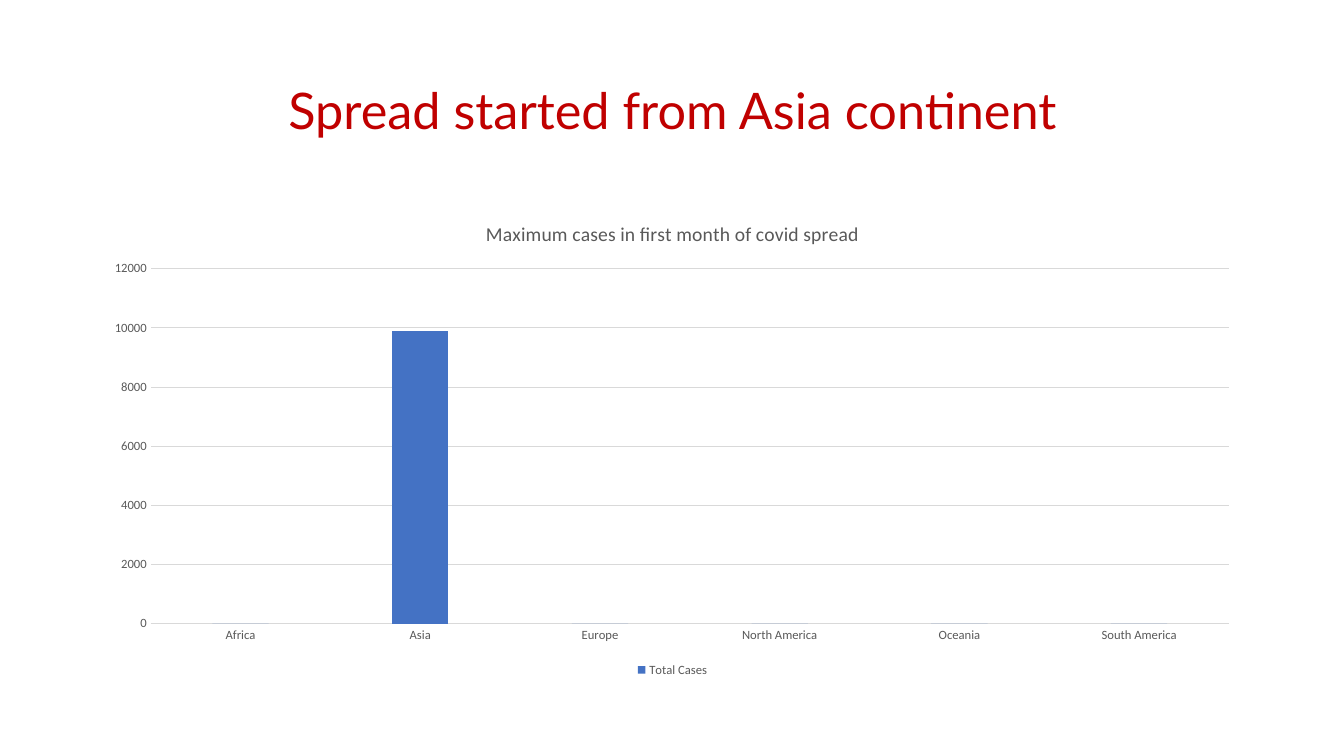
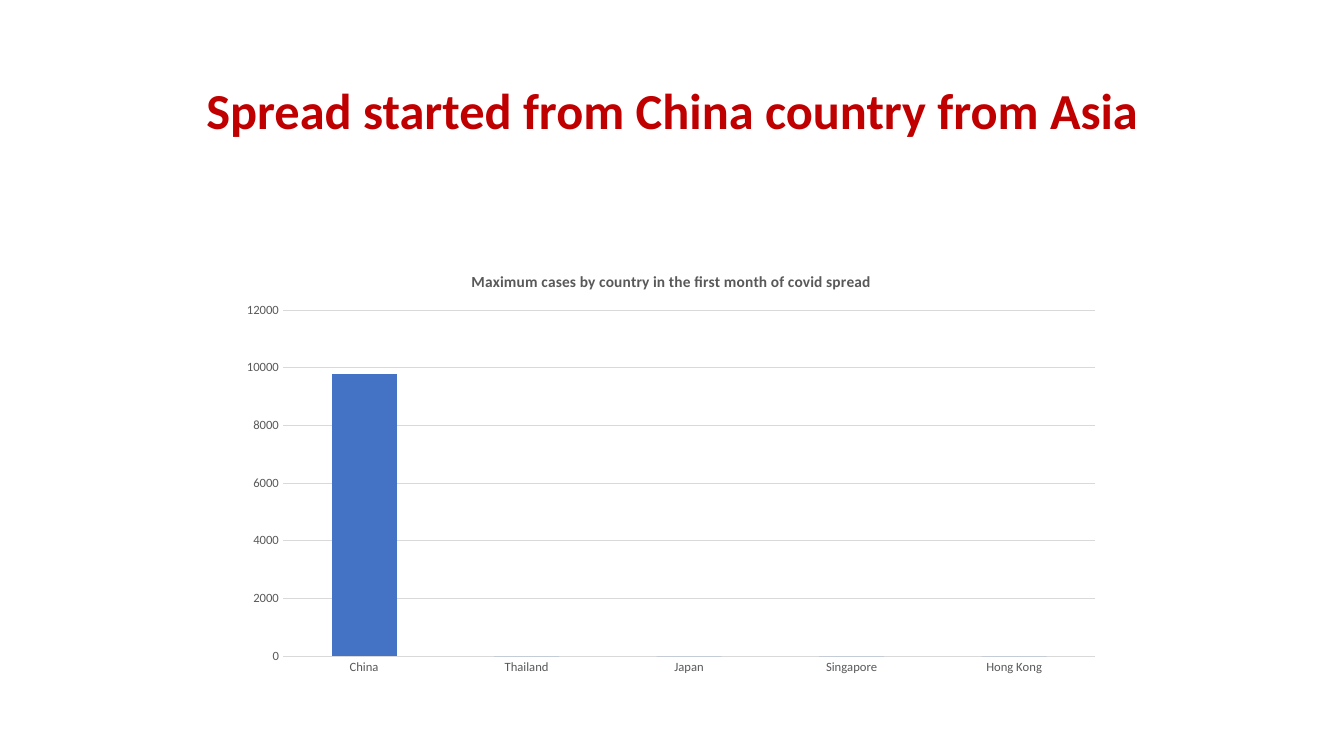
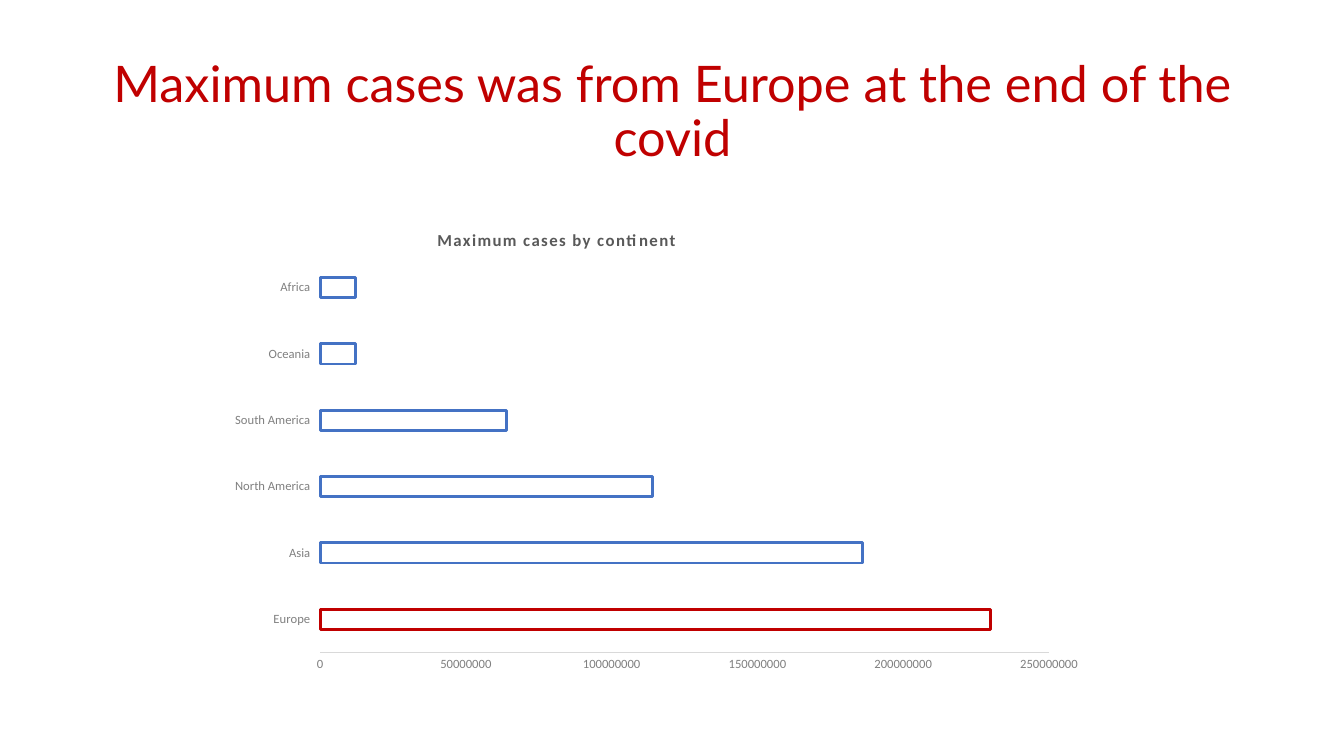
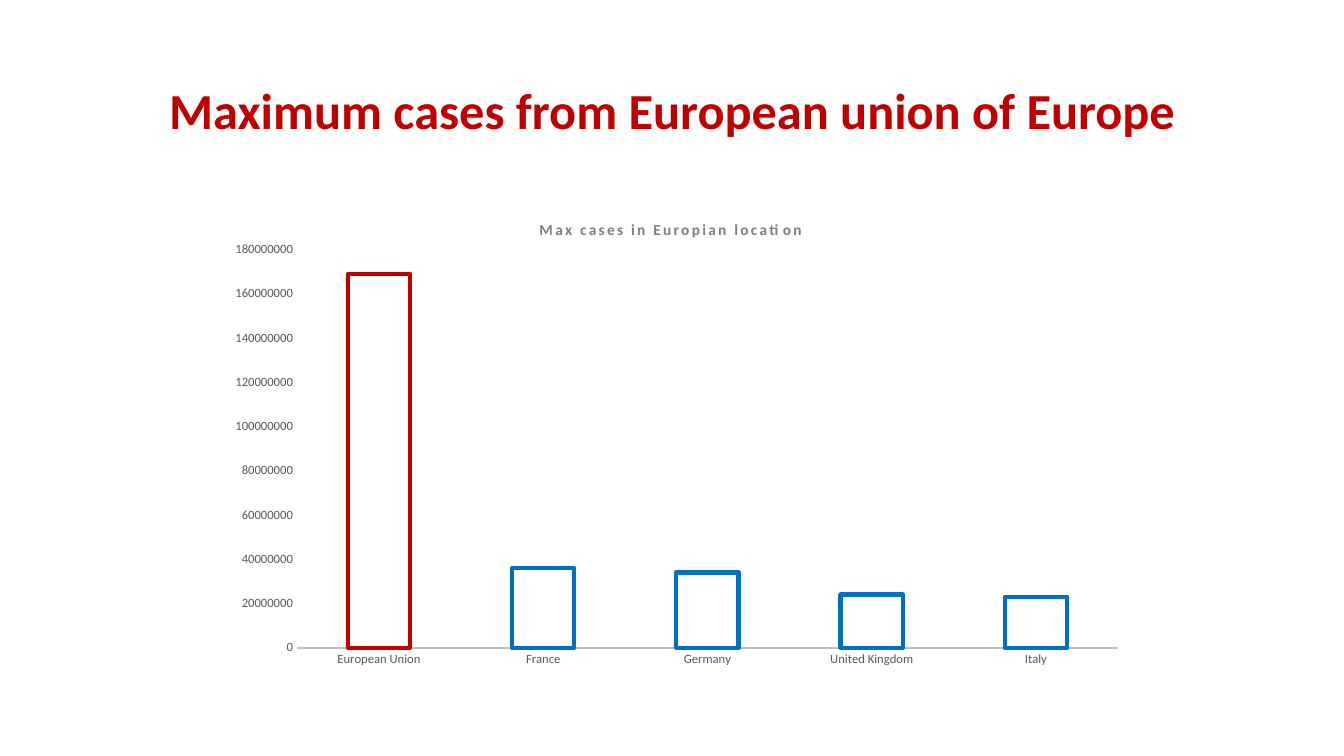
import pptx
import pptx.chart.data
import pptx.dml.color
import pptx.enum.chart
import pptx.enum.text
import pptx.oxml
import pptx.oxml.ns
import pptx.util

Inches = pptx.util.Inches
Pt = pptx.util.Pt
RGBColor = pptx.dml.color.RGBColor
XL = pptx.enum.chart
qn = pptx.oxml.ns.qn

# Shared colours and fonts
RED = RGBColor(0xC0, 0x00, 0x00)
BLUE = RGBColor(0x44, 0x72, 0xC4)
BRIGHT_BLUE = RGBColor(0x00, 0x70, 0xC0)
WHITE = RGBColor(0xFF, 0xFF, 0xFF)
DARK_GREY = RGBColor(0x59, 0x59, 0x59)
MID_GREY = RGBColor(0x80, 0x80, 0x80)
AXIS_GREY = RGBColor(0xBF, 0xBF, 0xBF)
GRID_GREY = RGBColor(0xD9, 0xD9, 0xD9)
BODY_FONT = "Calibri"
LIGHT_FONT = "Lato"


def set_font(font, size, color, name=BODY_FONT, bold=False):
    font.size = Pt(size)
    font.name = name
    font.bold = bold
    font.color.rgb = color


def set_line(line, color=None, width=0.75):
    """Draw a line, or hide it when no colour is given."""
    if color is None:
        line.fill.background()
    else:
        line.color.rgb = color
        line.width = Pt(width)


def set_layout(parent, index, inner=False, **fractions):
    """Place a chart part by fractions of the chart area."""
    for old in parent.findall(qn("c:layout")):
        parent.remove(old)
    target = '<c:layoutTarget val="inner"/>' if inner else ""
    modes = "".join(f'<c:{k}Mode val="edge"/>' for k in "xy")
    values = "".join(f'<c:{k} val="{v}"/>' for k, v in fractions.items())
    parent.insert(index, pptx.oxml.parse_xml(
        f'<c:layout {pptx.oxml.ns.nsdecls("c")}><c:manualLayout>'
        f"{target}{modes}{values}</c:manualLayout></c:layout>"))


def add_title_slide(prs, text, font=BODY_FONT, bold=False):
    s = prs.slides.add_slide(prs.slide_layouts[6])
    sp = s.shapes.add_textbox(Inches(0.92), Inches(0.4),
                              Inches(11.5), Inches(1.45))
    tf = sp.text_frame
    tf.word_wrap = True
    tf.vertical_anchor = pptx.enum.text.MSO_ANCHOR.MIDDLE
    p = tf.paragraphs[0]
    p.alignment = pptx.enum.text.PP_ALIGN.CENTER
    p.line_spacing = 0.9
    r = p.add_run()
    r.text = text
    set_font(r.font, 36, RED, font, bold)
    return s


def add_bar_chart(s, box, name, points, plot, gap, top, unit,
                  horizontal=False, overlap=0):
    """Add a one-series chart with the common text and axis style."""
    data = pptx.chart.data.CategoryChartData()
    data.categories = [cat for cat, _ in points]
    data.add_series(name, [value for _, value in points])
    kind = (XL.XL_CHART_TYPE.BAR_CLUSTERED if horizontal
            else XL.XL_CHART_TYPE.COLUMN_CLUSTERED)
    chart = s.shapes.add_chart(kind, *map(Inches, box), data).chart
    chart.has_legend = False
    chart.font.size = Pt(10)
    chart.font.name = BODY_FONT

    bars = chart.plots[0]
    bars.vary_by_categories = False
    bars.gap_width = gap
    bars.overlap = overlap
    bars.series[0].invert_if_negative = False

    for axis in (chart.category_axis, chart.value_axis):
        axis.major_tick_mark = XL.XL_TICK_MARK.NONE
        axis.minor_tick_mark = XL.XL_TICK_MARK.NONE
        axis.has_major_gridlines = False
        set_font(axis.tick_labels.font, 9, DARK_GREY)
        set_line(axis.format.line)
    chart.value_axis.minimum_scale = 0
    chart.value_axis.maximum_scale = top
    chart.value_axis.major_unit = unit
    area = chart.element.find(".//" + qn("c:plotArea"))
    set_layout(area, 0, inner=True, **dict(zip("xywh", plot)))
    return chart


def set_chart_title(chart, text, size, color=DARK_GREY, bold=True, spacing=0):
    chart.has_title = True
    r = chart.chart_title.text_frame.paragraphs[0].add_run()
    r.text = text
    set_font(r.font, size, color, bold=bold)
    if spacing:
        r._r.get_or_add_rPr().set("spc", str(int(spacing * 100)))


def show_grid(chart):
    chart.value_axis.has_major_gridlines = True
    set_line(chart.value_axis.major_gridlines.format.line, GRID_GREY)


def fill_bars(chart, color):
    fill = chart.plots[0].series[0].format.fill
    fill.solid()
    fill.fore_color.rgb = color


def outline_bars(chart, color, width):
    """White bars with a coloured outline; the first one stands out in red."""
    series = chart.plots[0].series[0]
    for fmt, edge in ((series.format, color), (series.points[0].format, RED)):
        fmt.fill.solid()
        fmt.fill.fore_color.rgb = WHITE
        set_line(fmt.line, edge, width)


def first_month_by_continent(prs):
    s = add_title_slide(prs, "Spread started from Asia continent", LIGHT_FONT)
    chart = add_bar_chart(
        s, (0.92, 2, 11.5, 4.76), "Total Cases",
        [("Africa", 0), ("Asia", 9900), ("Europe", 0),
         ("North America", 0), ("Oceania", 0), ("South America", 0)],
        plot=(0.05, 0.14, 0.93, 0.74), gap=219, top=12000, unit=2000)
    set_chart_title(chart, "Maximum cases in first month of covid spread",
                    14, bold=False)
    fill_bars(chart, BLUE)
    show_grid(chart)
    set_line(chart.category_axis.format.line, GRID_GREY)
    chart.has_legend = True
    chart.legend.position = XL.XL_LEGEND_POSITION.BOTTOM
    chart.legend.include_in_layout = False
    set_font(chart.legend.font, 9, DARK_GREY)


def first_month_by_country(prs):
    s = add_title_slide(prs, "Spread started from China country from Asia",
                        bold=True)
    chart = add_bar_chart(
        s, (2.28, 2.52, 8.76, 4.29), "Series 1",
        [("China", 9800), ("Thailand", 0), ("Japan", 0),
         ("Singapore", 0), ("Hong Kong", 0)],
        plot=(0.06, 0.13, 0.92, 0.8), gap=150, top=12000, unit=2000)
    set_chart_title(
        chart, "Maximum cases by country in the first month of covid spread",
        11)
    fill_bars(chart, BLUE)
    show_grid(chart)


def total_by_continent(prs):
    s = add_title_slide(
        prs, "Maximum cases was from Europe at the end of the covid",
        LIGHT_FONT)
    chart = add_bar_chart(
        s, (2.13, 2, 8.71, 4.76), "Series 1",
        [("Europe", 230000000), ("Asia", 186000000),
         ("North America", 114000000), ("South America", 64000000),
         ("Oceania", 12000000), ("Africa", 12000000)],
        plot=(0.12, 0.11, 0.83, 0.83), gap=227, top=250000000, unit=50000000,
        horizontal=True, overlap=-48)
    set_chart_title(chart, "Maximum cases by continent", 12, spacing=1)
    set_layout(chart.chart_title.element
               if hasattr(chart.chart_title, "element")
               else chart.element.find(".//" + qn("c:title")),
               1, x=0.25, y=0.05)
    outline_bars(chart, BLUE, 2)
    chart.category_axis.major_tick_mark = XL.XL_TICK_MARK.OUTSIDE
    set_line(chart.value_axis.format.line, GRID_GREY)
    for axis in (chart.category_axis, chart.value_axis):
        axis.tick_labels.font.color.rgb = MID_GREY


def total_in_europe(prs):
    s = add_title_slide(prs, "Maximum cases from European union of Europe",
                        bold=True)
    chart = add_bar_chart(
        s, (2.13, 2, 9.05, 4.76), "Series 1",
        [("European Union", 169000000), ("France", 36000000),
         ("Germany", 34000000), ("United Kingdom", 24000000),
         ("Italy", 23000000)],
        plot=(0.09, 0.1, 0.9, 0.83), gap=164, top=180000000, unit=20000000)
    set_chart_title(chart, "Max cases in Europian location", 11, MID_GREY,
                    spacing=1.5)
    outline_bars(chart, BRIGHT_BLUE, 3)
    set_line(chart.category_axis.format.line, AXIS_GREY, 1.5)


def main():
    prs = pptx.Presentation()
    prs.slide_width = Inches(13.33)
    prs.slide_height = Inches(7.5)
    first_month_by_continent(prs)
    first_month_by_country(prs)
    total_by_continent(prs)
    total_in_europe(prs)
    prs.save("out.pptx")


if __name__ == "__main__":
    main()
